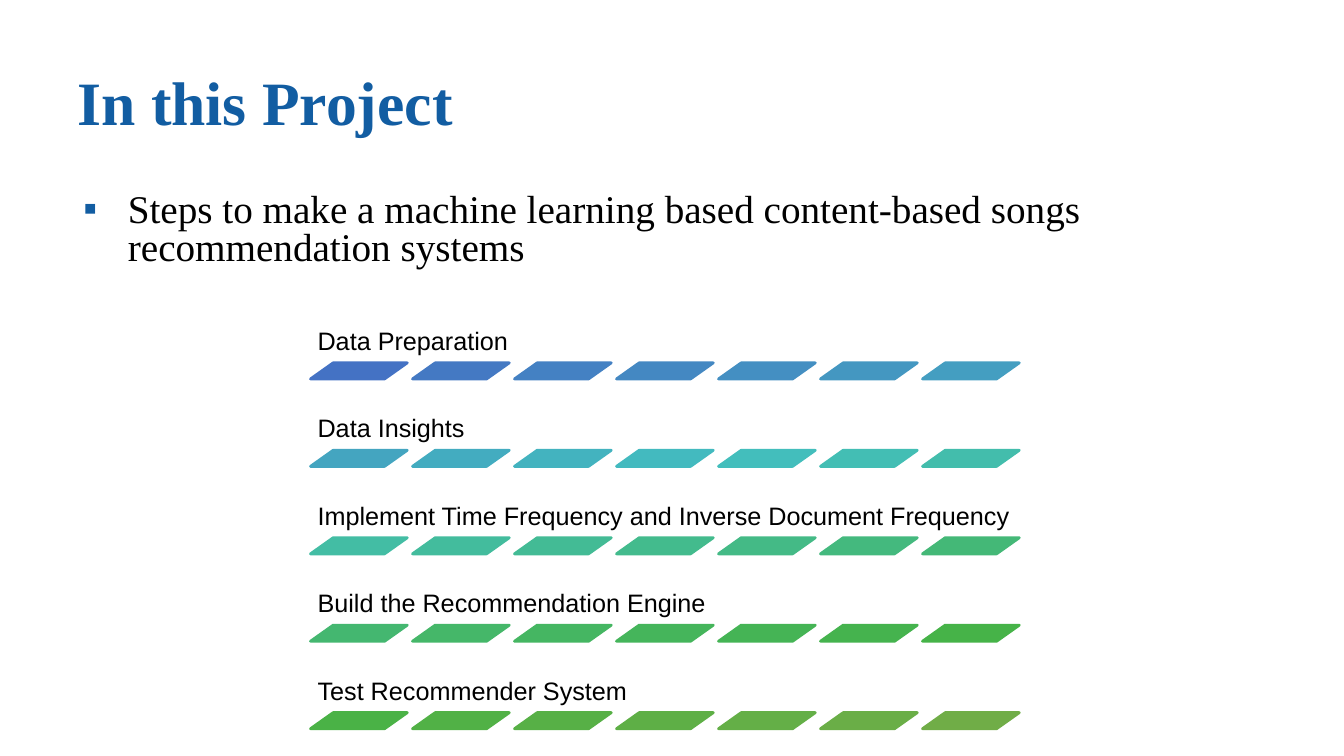
from colorsys import hls_to_rgb, rgb_to_hls
from lxml import etree
from pptx import Presentation
from pptx.dml.color import RGBColor
from pptx.enum.shapes import MSO_SHAPE
from pptx.enum.text import MSO_ANCHOR
from pptx.oxml.ns import qn
from pptx.util import Inches, Pt

SLANT = MSO_SHAPE.PARALLELOGRAM
TOP, MID, LOW = MSO_ANCHOR.TOP, MSO_ANCHOR.MIDDLE, MSO_ANCHOR.BOTTOM
INK = {"blue": "125DA2", "black": "000000", "first": "4472C4", "last": "70AD47"}
SERIF, SANS = "Times New Roman", "Arial"

deck = Presentation()
deck.slide_width, deck.slide_height = Inches(13.33), Inches(7.5)
slide = deck.slides.add_slide(deck.slide_layouts[6])


def add_text(text, box, anchor, pad, ink, space, font):
    frame = slide.shapes.add_textbox(*map(Inches, box)).text_frame
    frame.word_wrap = True
    frame.vertical_anchor = anchor
    for side, gap in zip(("left", "top", "right", "bottom"), pad):
        setattr(frame, "margin_" + side, Inches(gap))
    para = frame.paragraphs[0]
    para.line_spacing = space
    run = para.add_run()
    run.text = text
    for name, value in font.items():
        setattr(run.font, name, value)
    run.font.color.rgb = RGBColor.from_string(INK[ink])
    return para


# Title and lead line
pad = (0.1, 0.05, 0.1, 0.05)
add_text("In this Project", (0.67, 0.28, 12, 1.53), MID, pad, "blue", 0.9,
         {"name": SERIF, "size": Pt(44), "bold": True})
lead = add_text("Steps to make a machine learning based content-based songs "
                "recommendation systems", (0.67, 1.87, 12, 1.07), TOP, pad,
                "black", 0.8, {"name": SERIF, "size": Pt(28)})
lead.space_before = Pt(10)

# Square bullet with hanging indent
props = lead._p.get_or_add_pPr()
props.set("marL", str(Inches(0.5)))
props.set("indent", str(Inches(-0.44)))
tint = etree.SubElement(props, qn("a:buClr"))
etree.SubElement(tint, qn("a:srgbClr"), val=INK["blue"])
etree.SubElement(props, qn("a:buFont"), typeface=SANS)
etree.SubElement(props, qn("a:buChar"), char="▪")

# Steps: a label above a row of slanted bars
steps = ["Data Preparation", "Data Insights",
         "Implement Time Frequency and Inverse Document Frequency",
         "Build the Recommendation Engine", "Test Recommender System"]
COLS = 7
LEFT, HEAD = 3.08, 3.6
STEP_X, STEP_Y = (9.15 - LEFT) / (COLS - 1), (7.07 - HEAD) / (len(steps) - 1)
BAR_W, BAR_H, LABEL_W, LABEL_H = 0.96, 0.16, 7.17, 0.65

# Bar colours run evenly in hue, lightness and saturation
start, end = (rgb_to_hls(*(part / 255 for part in RGBColor.from_string(INK[key])))
              for key in ("first", "last"))
count = COLS * len(steps)

for row, step in enumerate(steps):
    y = HEAD + row * STEP_Y
    add_text(step, (LEFT, y - LABEL_H, LABEL_W, LABEL_H), LOW, (0.07,) * 4,
             "black", 0.9, {"name": SANS, "size": Pt(18)})
    for col in range(COLS):
        share = (row * COLS + col) / (count - 1)
        tone = hls_to_rgb(*(a + (b - a) * share for a, b in zip(start, end)))
        color = RGBColor(*(round(part * 255) for part in tone))
        bar = slide.shapes.add_shape(SLANT, *map(Inches, (
            LEFT + col * STEP_X, y, BAR_W, BAR_H)))
        bar.adjustments[0] = 1.41
        bar.shadow.inherit = False
        bar.fill.solid()
        bar.fill.fore_color.rgb = color
        bar.line.color.rgb = color
        bar.line.width = Pt(2)

deck.save("out.pptx")
